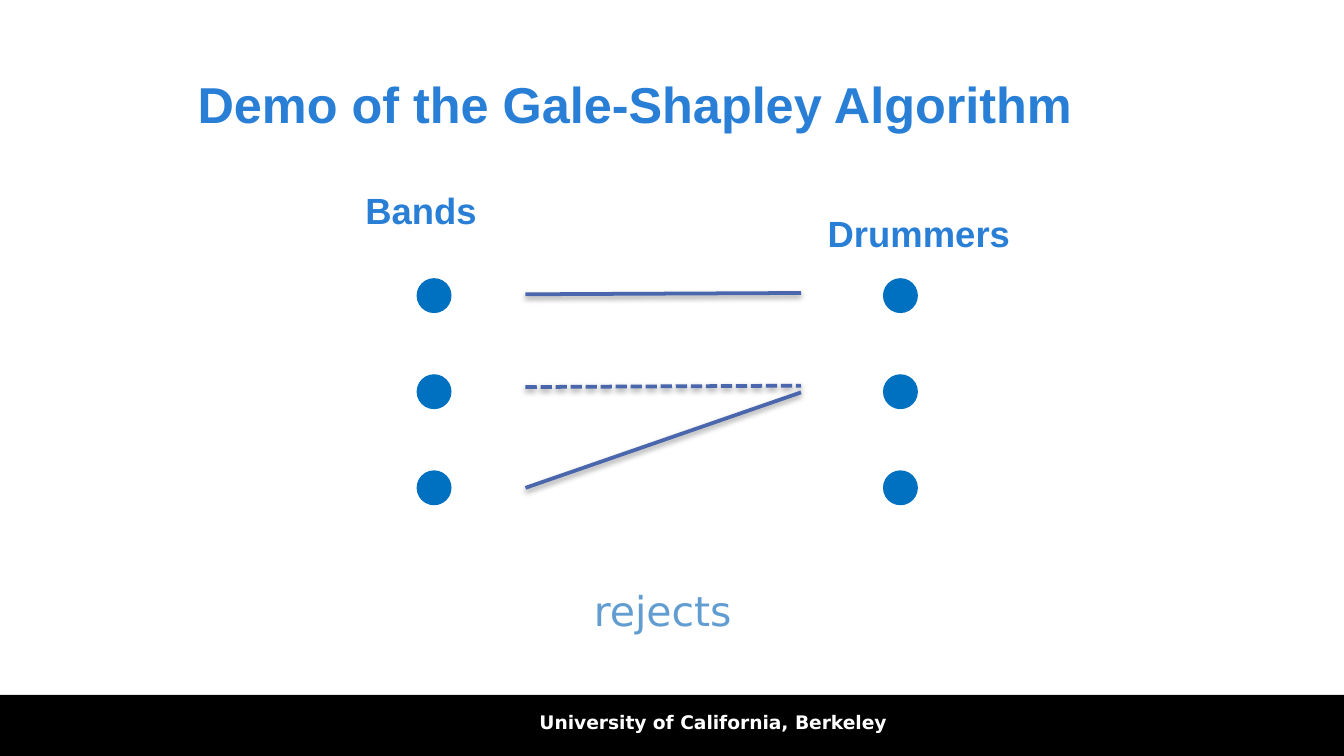
"""Build the Gale-Shapley demo slide: bands, drummers and their proposals."""
from dataclasses import dataclass

from pptx import Presentation
from pptx import util as u
from pptx.dml.color import RGBColor
from pptx.enum import dml, shapes, text
from pptx.oxml import parse_xml
from pptx.oxml.ns import nsdecls

WIDTH = 10
HEIGHT = WIDTH * 9 / 16
BLACK = RGBColor(0x00, 0x00, 0x00)
WHITE = RGBColor(0xFF, 0xFF, 0xFF)
HEADING = RGBColor(0x29, 0x7F, 0xD5)
DOT = RGBColor(0x00, 0x70, 0xC0)
LINE = RGBColor(0x4A, 0x66, 0xAC)
NOTE = RGBColor(0x62, 0x9D, 0xD1)

DOT_SIZE = 0.26
ROWS = 3
FIRST_ROW, LAST_ROW = 2.07, 3.5
ROW_STEP = (LAST_ROW - FIRST_ROW) / (ROWS - 1)
LINE_START, LINE_END = 3.91, 5.96
SHADOW = (
    f'<a:effectLst {nsdecls("a")}><a:outerShdw blurRad="39370" dist="20320" dir="5400000" rotWithShape="0">'
    '<a:srgbClr val="000000"><a:alpha val="38000"/></a:srgbClr></a:outerShdw></a:effectLst>'
)


@dataclass(frozen=True)
class Side:
    """One side of the matching: its heading and its column of dots."""

    label: str
    label_left: float
    label_top: float
    label_width: float
    dot_left: float


@dataclass(frozen=True)
class Proposal:
    """A line from a band's height to a drummer's height."""

    start: float
    end: float
    rejected: bool = False


SIDES = (
    Side("Bands", 2.62, 1.36, 1.46, 3.1),
    Side("Drummers", 6.06, 1.53, 1.73, 6.57),
)
PROPOSALS = (
    Proposal(2.19, 2.18),
    Proposal(2.88, 2.87, rejected=True),
    Proposal(3.63, 2.92),
)


def place(shape, left: float, top: float, width: float, height: float) -> None:
    """Set a shape's position and size in inches."""
    shape.left, shape.top = u.Inches(left), u.Inches(top)
    shape.width, shape.height = u.Inches(width), u.Inches(height)


def write(shape, words: str, *, size: float, color: RGBColor, font: str = "Arial", bold: bool = True,
          align=text.PP_ALIGN.LEFT, anchor=text.MSO_ANCHOR.MIDDLE, wrap: bool = True) -> None:
    """Write one formatted paragraph into a shape."""
    frame = shape.text_frame
    frame.text = words
    frame.word_wrap = wrap
    frame.auto_size = text.MSO_AUTO_SIZE.NONE if wrap else text.MSO_AUTO_SIZE.SHAPE_TO_FIT_TEXT
    frame.vertical_anchor = anchor
    paragraph = frame.paragraphs[0]
    paragraph.alignment = align
    run_font = paragraph.runs[0].font
    run_font.name, run_font.size, run_font.bold = font, u.Pt(size), bold
    run_font.color.rgb = color


def add_text(slide, words: str, left: float, top: float, width: float, height: float, **style) -> None:
    """Add a text box in the given style."""
    box = slide.shapes.add_textbox(*map(u.Inches, (left, top, width, height)))
    write(box, words, **style)


def add_solid(slide, kind, left: float, top: float, width: float, height: float, color: RGBColor) -> None:
    """Add a plain filled shape without outline."""
    shape = slide.shapes.add_shape(kind, *map(u.Inches, (left, top, width, height)))
    shape.shadow.inherit = False
    shape.fill.solid()
    shape.fill.fore_color.rgb = color
    shape.line.fill.background()


def add_side(slide, side: Side) -> None:
    """Draw a side's heading and dots."""
    add_text(slide, side.label, side.label_left, side.label_top, side.label_width, 0.41, size=19.5, color=HEADING)
    for row in range(ROWS):
        add_solid(slide, shapes.MSO_SHAPE.OVAL, side.dot_left, FIRST_ROW + row * ROW_STEP,
                  DOT_SIZE, DOT_SIZE, DOT)


def add_proposal(slide, proposal: Proposal) -> None:
    """Draw a shadowed proposal line, dashed when rejected."""
    ends = map(u.Inches, (LINE_START, proposal.start, LINE_END, proposal.end))
    connector = slide.shapes.add_connector(shapes.MSO_CONNECTOR.STRAIGHT, *ends)
    connector.line.color.rgb = LINE
    connector.line.width = u.Pt(2)
    if proposal.rejected:
        connector.line.dash_style = dml.MSO_LINE.SQUARE_DOT
    connector._element.spPr.append(parse_xml(SHADOW))


def main() -> None:
    """Build and save the slide."""
    presentation = Presentation()
    presentation.slide_width, presentation.slide_height = u.Inches(WIDTH), u.Inches(HEIGHT)
    slide = presentation.slides.add_slide(presentation.slide_layouts[5])

    title = slide.shapes.title
    place(title, 1.37, 0.3, 7.52, 0.94)
    write(title, "Demo of the Gale-Shapley Algorithm", size=27, color=HEADING)

    add_solid(slide, shapes.MSO_SHAPE.RECTANGLE, 0, 5.17, WIDTH, 0.47, BLACK)
    add_text(slide, "University of California, Berkeley", 2.14, 5.24, 6.33, 0.35, size=10, color=WHITE,
             font="DejaVu Sans", align=text.PP_ALIGN.CENTER, anchor=text.MSO_ANCHOR.TOP)
    for side in SIDES:
        add_side(slide, side)
    for proposal in PROPOSALS:
        add_proposal(slide, proposal)
    add_text(slide, "rejects", 4.32, 4.31, 1.25, 0.47, size=22, color=NOTE, font="DejaVu Sans",
             bold=False, anchor=text.MSO_ANCHOR.TOP, wrap=False)
    presentation.save("out.pptx")


if __name__ == "__main__":
    main()
